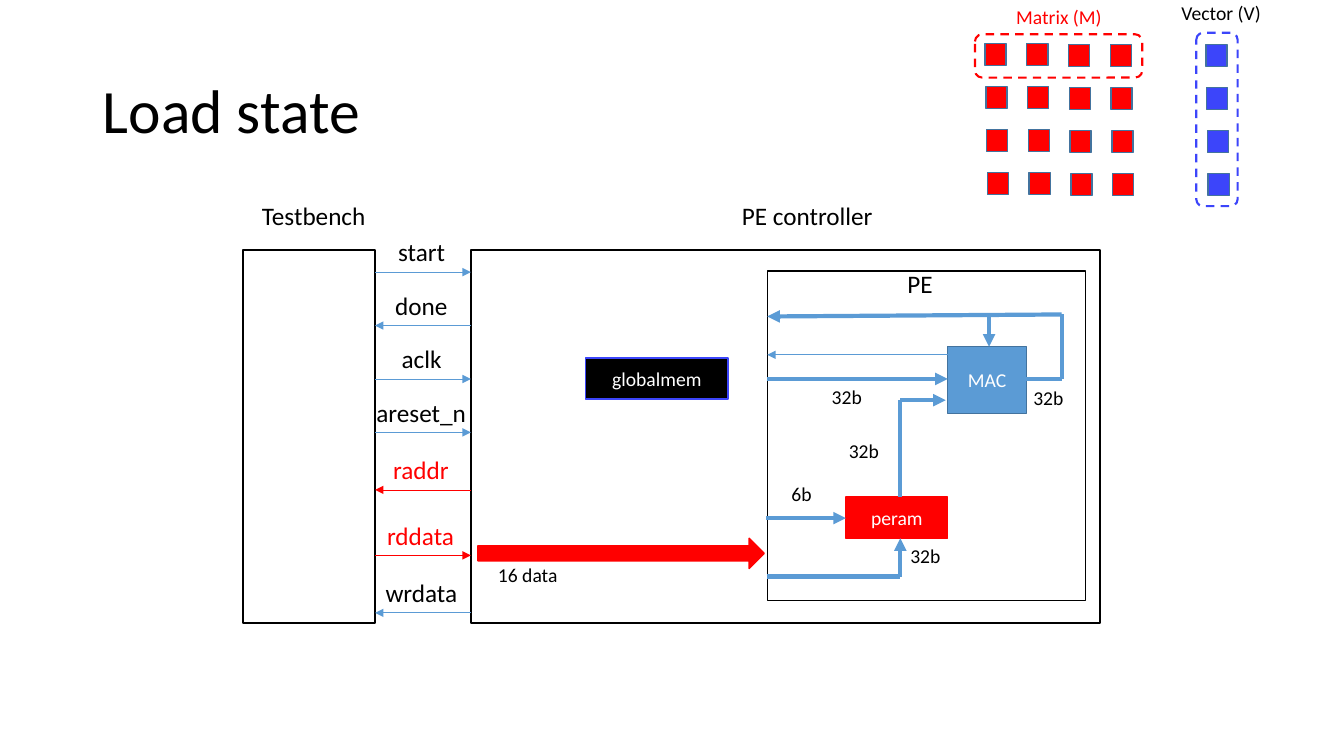
from lxml.etree import SubElement
from pptx import Presentation
from pptx.dml.color import RGBColor
from pptx.enum.dml import MSO_LINE
from pptx.enum.shapes import MSO_CONNECTOR, MSO_SHAPE
from pptx.enum.text import MSO_ANCHOR, PP_ALIGN
from pptx.oxml.ns import qn
from pptx.util import Inches, Pt

WIDTH, HEIGHT = 13.33, 7.5
COLUMNS, ROWS = 1333, 750
BLACK, WHITE, RED, BLUE = "000000", "FFFFFF", "FF0000", "3C45FA"
SKY, STEEL = "5B9BD5", "43739E"

TITLE = ("Load state", (92, 40, 1150, 145))
PE_FRAME = (761, 269, 316, 327)
BLOCKS = [
    ("peram", (839, 493, 101, 41), RED, RED),
    ("MAC", (940, 344, 78, 66), SKY, STEEL),
]
GLOBALMEM = ("globalmem", (581, 355, 141, 41), BLACK, BLUE)
WIRES = [
    ((761, 376), (940, 376), 3, True),
    ((940, 352), (761, 352), 0.5, True),
    ((1017, 376), (1053, 376), 3, False),
    ((1053, 312), (1053, 376), 3, False),
    ((1053, 312), (761, 314), 3, True),
    ((981, 313), (981, 344), 3, True),
    ((893, 493), (893, 397), 3, False),
    ((893, 397), (938, 397), 3, True),
    ((761, 572), (893, 572), 3, False),
    ((893, 572), (893, 534), 3, True),
    ((760, 514), (839, 514), 3, True),
]
WIRE_LABELS = [
    ("6b", (775, 473, 52, 45)),
    ("32b", (832, 431, 65, 45)),
    ("32b", (893, 535, 65, 45)),
    ("32b", (1015, 378, 65, 45)),
    ("32b", (815, 377, 65, 45)),
]
UNIT_FRAMES = [(241, 248, 131, 370), (467, 248, 624, 370)]
UNIT_LABELS = [
    ("Testbench", (250, 194, 127, 40)),
    ("PE", (890, 261, 58, 54)),
    ("PE controller", (726, 194, 193, 54)),
]
SIGNAL_LEFT, SIGNAL_RIGHT, SIGNAL_MIDDLE = 372, 467, 418.5
SIGNALS = [
    ("start", 270, 67, "right", SKY, BLACK),
    ("done", 323, 73, "left", SKY, BLACK),
    ("aclk", 376, 60, "right", SKY, BLACK),
    ("areset_n", 429, 110, "right", SKY, BLACK),
    ("raddr", 486, 77, "left", RED, RED),
    ("rddata", 551, 89, "right", RED, RED),
    ("wrdata", 608, 92, "left", SKY, BLACK),
]
DATA_LABEL = ("16 data", (484, 554, 80, 34))
DATA_ARROW = (474, 534, 284, 30)
MATRIX_SIZE = 4
MATRIX_LEFT, VECTOR_LEFT, CELL_TOP = 977, 1196, 43
CELL_PITCH = (41.4, 42.7)
CELL_SIZE = (21, 22)
ROW_SHIFT = 0.75
OPERAND_LABELS = [
    ("Matrix (M)", (998, 0, 106, 34), RED),
    ("Vector (V)", (1162, -4, 100, 34), BLACK),
]
OPERAND_FRAMES = [((967, 34, 166, 43), RED), ((1186.5, 32.5, 41, 172), BLUE)]


def color(value):
    return RGBColor.from_string(value)


def across(columns):
    return Inches(WIDTH * columns / COLUMNS)


def down(rows):
    return Inches(HEIGHT * rows / ROWS)


def place(area):
    left, top, width, height = area
    return across(left), down(top), across(width), down(height)


def write(frame, text, size, ink, align=PP_ALIGN.LEFT):
    para = frame.paragraphs[0]
    para.alignment = align
    span = para.add_run()
    span.text = text
    span.font.name = "Calibri"
    span.font.size = Pt(size)
    span.font.color.rgb = color(ink)
    return para


def add_label(shapes, text, area, size, ink=BLACK):
    box = shapes.add_textbox(*place(area))
    box.text_frame.word_wrap = False
    write(box.text_frame, text, size, ink)


def add_figure(shapes, area, fill, line, kind=MSO_SHAPE.RECTANGLE, weight=1):
    figure = shapes.add_shape(kind, *place(area))
    figure.shadow.inherit = False
    if fill:
        figure.fill.solid()
        figure.fill.fore_color.rgb = color(fill)
    else:
        figure.fill.background()
    figure.line.color.rgb = color(line)
    figure.line.width = Pt(weight)
    return figure


def add_block(shapes, text, area, fill, line):
    frame = add_figure(shapes, area, fill, line).text_frame
    frame.vertical_anchor = MSO_ANCHOR.MIDDLE
    write(frame, text, 14, WHITE, PP_ALIGN.CENTER)


def add_wire(shapes, start, end, weight, arrow, ink=SKY):
    wire = shapes.add_connector(
        MSO_CONNECTOR.STRAIGHT,
        across(start[0]), down(start[1]), across(end[0]), down(end[1]))
    wire.line.color.rgb = color(ink)
    wire.line.width = Pt(weight)
    if arrow:
        SubElement(wire.line._get_or_add_ln(), qn("a:tailEnd"), type="triangle")
    SubElement(wire._element.spPr, qn("a:effectLst"))


def add_title(page):
    text, area = TITLE
    title = page.shapes.title
    title.left, title.top, title.width, title.height = place(area)
    title.text_frame.vertical_anchor = MSO_ANCHOR.MIDDLE
    write(title.text_frame, text, 44, BLACK).line_spacing = 0.9


def add_processing_element(page):
    shapes = page.shapes.add_group_shape().shapes
    add_figure(shapes, PE_FRAME, None, BLACK)
    for block in BLOCKS:
        add_block(shapes, *block)
    for wire in WIRES:
        add_wire(shapes, *wire)
    for text, area in WIRE_LABELS:
        add_label(shapes, text, area, 14)


def add_units(page):
    add_block(page.shapes, *GLOBALMEM)
    for area in UNIT_FRAMES:
        add_figure(page.shapes, area, None, BLACK)
    for text, area in UNIT_LABELS:
        add_label(page.shapes, text, area, 18)


def add_signals(page):
    for text, row, width, direction, line, ink in SIGNALS:
        ends = [(SIGNAL_LEFT, row), (SIGNAL_RIGHT, row)]
        if direction == "left":
            ends.reverse()
        add_wire(page.shapes, *ends, 0.5, True, line)
        area = (SIGNAL_MIDDLE - width / 2, row - 40, width, 40)
        add_label(page.shapes, text, area, 18, ink)
    add_label(page.shapes, *DATA_LABEL, 14)
    add_figure(page.shapes, DATA_ARROW, RED, RED, MSO_SHAPE.RIGHT_ARROW)


def add_operands(page):
    shapes = page.shapes.add_group_shape().shapes
    lefts = [MATRIX_LEFT + CELL_PITCH[0] * column for column in range(MATRIX_SIZE)]
    for column, left in enumerate(lefts + [VECTOR_LEFT]):
        fill = RED if column < MATRIX_SIZE else BLUE
        top = CELL_TOP + (column >= MATRIX_SIZE / 2)
        for row in range(MATRIX_SIZE):
            corner = (left + ROW_SHIFT * row, top + CELL_PITCH[1] * row)
            add_figure(shapes, corner + CELL_SIZE, fill, STEEL)
    for text, area, ink in OPERAND_LABELS:
        add_label(shapes, text, area, 14, ink)
    for area, line in OPERAND_FRAMES:
        frame = add_figure(shapes, area, None, line, MSO_SHAPE.ROUNDED_RECTANGLE, 1.5)
        frame.line.dash_style = MSO_LINE.DASH


def main():
    deck = Presentation()
    deck.slide_width, deck.slide_height = Inches(WIDTH), Inches(HEIGHT)
    page = deck.slides.add_slide(deck.slide_layouts.get_by_name("Title Only"))
    add_title(page)
    add_processing_element(page)
    add_units(page)
    add_signals(page)
    add_operands(page)
    deck.save("out.pptx")


if __name__ == "__main__":
    main()
